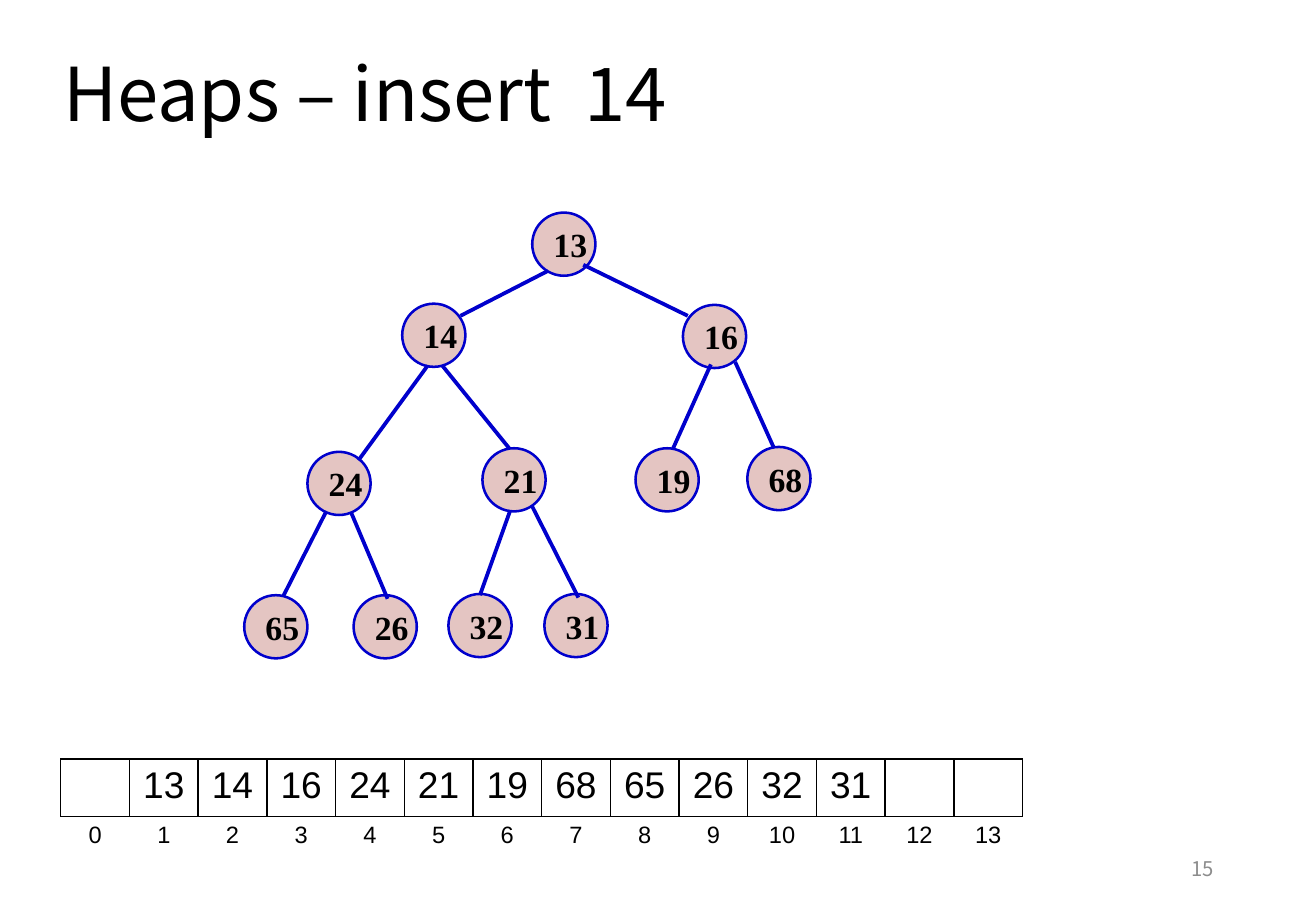
import dataclasses

import pptx
import pptx.dml.color
import pptx.enum.shapes
import pptx.enum.text
import pptx.oxml
import pptx.oxml.ns
import pptx.util
from pptx.util import Inches

ALIGN = pptx.enum.text.PP_ALIGN
MIDDLE = pptx.enum.text.MSO_ANCHOR.MIDDLE


@dataclasses.dataclass(frozen=True)
class Theme:
    """Colours, fonts and sizes of the slide."""
    text: str = "000000"
    muted: str = "8C8C8C"
    node: str = "E4C5C2"
    edge: str = "0000CC"
    heading_font: str = "Noto Sans CJK SC"
    node_font: str = "Times New Roman"
    array_font: str = "Arial"
    title_size: int = 44
    node_size: int = 20
    value_size: int = 22
    index_size: int = 14
    number_size: int = 12


@dataclasses.dataclass(frozen=True)
class Node:
    """A heap node with its corner and the two ends of the edge to its parent."""
    value: int
    corner: tuple
    edge: tuple = ()


THEME = Theme()
NODE_DIAMETER = 0.52
ARRAY_CELLS = 14
HEAP = [
    Node(13, (2.37, 0)),
    Node(14, (1.30, 0.75), (1.78, 0.85, 2.50, 0.48)),
    Node(16, (3.61, 0.76), (3.65, 0.85, 2.79, 0.43)),
    Node(24, (0.52, 1.97), (0.94, 2.04, 1.51, 1.26)),
    Node(21, (1.96, 1.94), (2.18, 1.94, 1.63, 1.26)),
    Node(19, (3.22, 1.94), (3.53, 1.94, 3.84, 1.25)),
    Node(68, (4.14, 1.93), (4.36, 1.94, 4.04, 1.23)),
    Node(65, (0, 3.15), (0.32, 3.16, 0.67, 2.47)),
    Node(26, (0.90, 3.15), (1.18, 3.18, 0.88, 2.47)),
    Node(32, (1.68, 3.14), (1.94, 3.15, 2.19, 2.45)),
    Node(31, (2.47, 3.14), (2.75, 3.17, 2.37, 2.42)),
]


def rgb(color):
    """Turn a hex string into a colour."""
    return pptx.dml.color.RGBColor.from_string(color)


def write(text_frame, text, font, size, align=ALIGN.LEFT, color=THEME.text, bold=False):
    """Write one formatted paragraph into a text frame."""
    text_frame.text = text
    paragraph = text_frame.paragraphs[0]
    paragraph.alignment = align
    for run in paragraph.runs:
        run.font.name = font
        run.font.size = pptx.util.Pt(size)
        run.font.bold = bold
        run.font.color.rgb = rgb(color)
        east_asian = pptx.oxml.parse_xml(
            f'<a:ea {pptx.oxml.ns.nsdecls("a")} typeface="{font}"/>')
        run.font._element.find(pptx.oxml.ns.qn("a:latin")).addnext(east_asian)


def add_title(slide, left, top, width, height):
    """Place and format the title placeholder."""
    title = slide.shapes.title
    title.left, title.top = Inches(left), Inches(top)
    title.width, title.height = Inches(width), Inches(height)
    frame = title.text_frame
    frame.auto_size = pptx.enum.text.MSO_AUTO_SIZE.NONE
    frame.vertical_anchor = MIDDLE
    write(frame, "Heaps – insert  14", THEME.heading_font, THEME.title_size)
    frame.paragraphs[0].line_spacing = 0.9


def add_page_number(slide, left, top, width, height):
    """Add the page number at the right of its box."""
    box = slide.shapes.add_textbox(Inches(left), Inches(top), Inches(width), Inches(height))
    frame = box.text_frame
    frame.word_wrap = True
    frame.vertical_anchor = MIDDLE
    write(frame, "15", THEME.heading_font, THEME.number_size, ALIGN.RIGHT, THEME.muted)


def add_node(slide, value, left, top):
    """Add one round heap node."""
    shape = slide.shapes.add_shape(
        pptx.enum.shapes.MSO_SHAPE.OVAL, Inches(left), Inches(top),
        Inches(NODE_DIAMETER), Inches(NODE_DIAMETER))
    shape.shadow.inherit = False
    shape.fill.solid()
    shape.fill.fore_color.rgb = rgb(THEME.node)
    shape.line.color.rgb = rgb(THEME.edge)
    shape.line.width = pptx.util.Pt(1.5)
    shape.text_frame.word_wrap = False
    shape.text_frame.vertical_anchor = MIDDLE
    write(shape.text_frame, str(value), THEME.node_font, THEME.node_size, bold=True)


def add_edge(slide, start_x, start_y, end_x, end_y):
    """Add the line from a child to its parent."""
    line = slide.shapes.add_connector(
        pptx.enum.shapes.MSO_CONNECTOR.STRAIGHT,
        Inches(start_x), Inches(start_y), Inches(end_x), Inches(end_y))
    line.line.color.rgb = rgb(THEME.edge)
    line.line.width = pptx.util.Pt(2.25)
    line._element.spPr.append(
        pptx.oxml.parse_xml(f'<a:effectLst {pptx.oxml.ns.nsdecls("a")}/>'))


def add_tree(slide, left, top):
    """Draw the heap as a tree from the given corner."""
    for node in HEAP:
        add_node(slide, node.value, left + node.corner[0], top + node.corner[1])
    for node in HEAP[1:]:
        start_x, start_y, end_x, end_y = node.edge
        add_edge(slide, left + start_x, top + start_y, left + end_x, top + end_y)


def set_borders(cell, visible_sides):
    """Draw the named sides of a cell in black and clear the others."""
    properties = cell._tc.get_or_add_tcPr()
    for position, side in enumerate("LRTB"):
        paint = "<a:noFill/>"
        if side in visible_sides:
            paint = f'<a:solidFill><a:srgbClr val="{THEME.text}"/></a:solidFill>'
        border = pptx.oxml.parse_xml(
            f'<a:ln{side} {pptx.oxml.ns.nsdecls("a")} w="12700">{paint}</a:ln{side}>')
        properties.insert(position, border)


def add_array(slide, left, top, width, row_heights):
    """Show the heap as an array above its indices."""
    values = [""] + [str(node.value) for node in HEAP]
    values += [""] * (ARRAY_CELLS - len(values))
    rows = [
        (values, THEME.value_size, "LRTB"),
        ([str(index) for index in range(ARRAY_CELLS)], THEME.index_size, "T"),
    ]
    table = slide.shapes.add_table(
        len(rows), ARRAY_CELLS, Inches(left), Inches(top),
        Inches(width), Inches(sum(row_heights))).table
    table.first_row = False
    table.horz_banding = False
    for column in table.columns:
        column.width = Inches(width / ARRAY_CELLS)
    for row_index, (texts, size, sides) in enumerate(rows):
        table.rows[row_index].height = Inches(row_heights[row_index])
        for column_index, text in enumerate(texts):
            cell = table.cell(row_index, column_index)
            cell.fill.background()
            set_borders(cell, sides)
            write(cell.text_frame, text, THEME.array_font, size, ALIGN.CENTER)


def main():
    """Build the heap slide and save it."""
    presentation = pptx.Presentation()
    presentation.slide_width = Inches(10.83)
    presentation.slide_height = Inches(7.5)
    slide = presentation.slides.add_slide(presentation.slide_layouts[5])
    add_title(slide, 0.42, 0.18, 7.92, 1.25)
    add_tree(slide, 2.01, 1.75)
    add_array(slide, 0.5, 6.25, 7.92, (0.47, 0.33))
    add_page_number(slide, 7.65, 6.95, 2.44, 0.4)
    presentation.save("out.pptx")


if __name__ == "__main__":
    main()
